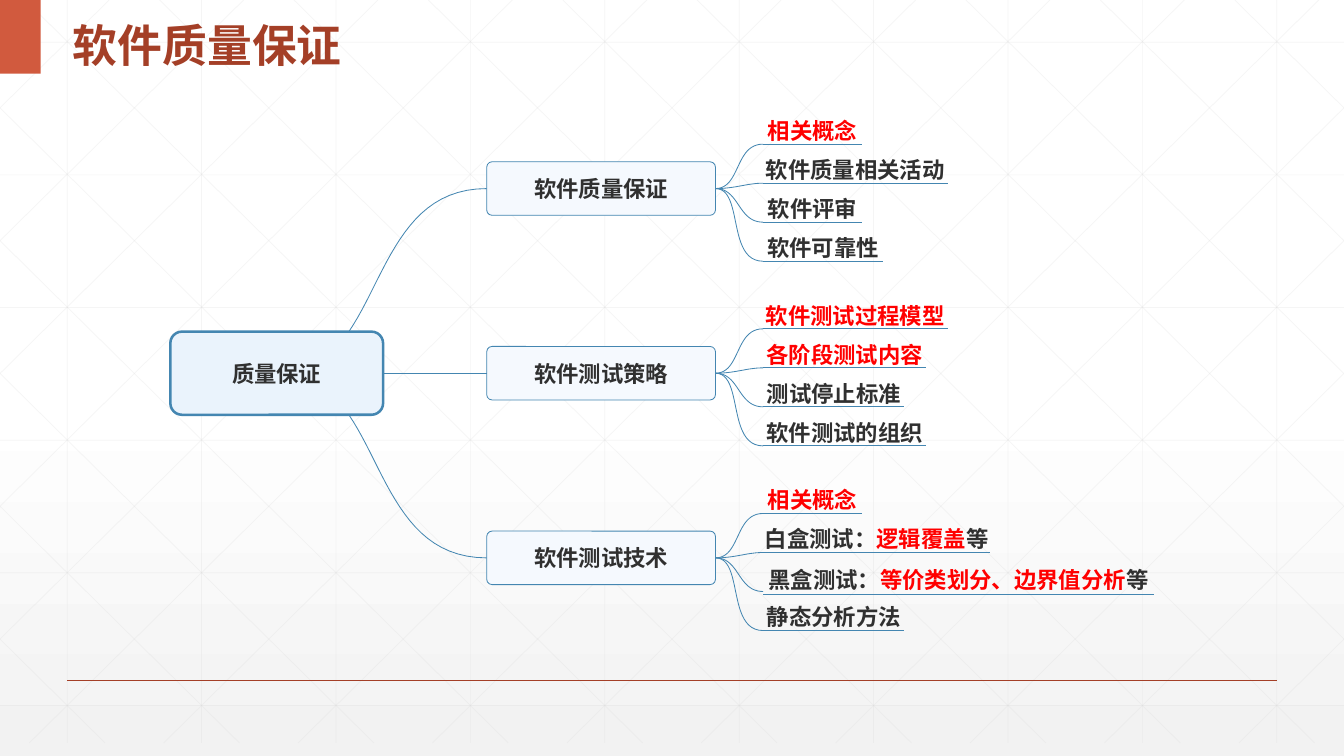
import lxml.etree
import pptx
import pptx.dml.color
import pptx.enum.dml
import pptx.enum.shapes
import pptx.enum.text
import pptx.oxml
import pptx.oxml.ns
import pptx.util

Pt = pptx.util.Pt
RGB = pptx.dml.color.RGBColor
SHAPE = pptx.enum.shapes.MSO_SHAPE
ALIGN = pptx.enum.text.PP_ALIGN
MIDDLE = pptx.enum.text.MSO_ANCHOR.MIDDLE
qn = pptx.oxml.ns.qn

WHITE = RGB(0xFF, 0xFF, 0xFF)
MIST = RGB(0xF2, 0xF2, 0xF2)
GRID = RGB(0xD9, 0xD9, 0xD9)
BRICK = RGB(0xA4, 0x3F, 0x27)
ORANGE = RGB(0xD1, 0x5A, 0x3E)
BLUE = RGB(0x44, 0x86, 0xB1)
ROOT_FILL = RGB(0xEA, 0xF3, 0xFC)
BRANCH_FILL = RGB(0xF5, 0xF9, 0xFE)
DARK = RGB(0x30, 0x30, 0x30)
RED = RGB(0xFF, 0x00, 0x00)
CJK = "Noto Sans CJK SC"

SLIDE_W, SLIDE_H = 960, 540
BRANCH_GAP = 131.9
LEAF_GAP, LEAF_H = 27.87, 19.6
# Horizontal reach of both control points of the curve to each leaf
LEAF_BENDS = [(18, 13.7), (14.4, 22.3), (17.3, 15.8), (20.2, 7.9)]

# Branch title, then its leaves: runs, width, height
BRANCHES = [
    ("软件质量保证", [
        ([("相关概念", RED)], 70.5, LEAF_H),
        ([("软件质量相关活动", DARK)], 131.8, LEAF_H),
        ([("软件评审", DARK)], 70.5, LEAF_H),
        ([("软件可靠性", DARK)], 85.8, LEAF_H)]),
    ("软件测试策略", [
        ([("软件测试过程模型", RED)], 131.8, LEAF_H),
        ([("各阶段测试内容", RED)], 116.5, LEAF_H),
        ([("测试停止标准", DARK)], 101, LEAF_H),
        ([("软件测试的组织", DARK)], 116.5, LEAF_H)]),
    ("软件测试技术", [
        ([("相关概念", RED)], 70.5, LEAF_H),
        ([("白盒测试：", DARK), ("逻辑覆盖", RED), ("等", DARK)], 162.2, LEAF_H),
        ([("黑盒测试：", DARK), ("等价类划分、边界值分析", RED), ("等", DARK)], 279, 21.6),
        ([("静态分析方法", DARK)], 101, LEAF_H)]),
]


def set_alpha(color, percent):
    alpha = lxml.etree.SubElement(color, qn("a:alpha"))
    alpha.set("val", str(percent * 1000))


def add_line(s, x1, y1, x2, y2, color, width):
    line = s.shapes.add_connector(pptx.enum.shapes.MSO_CONNECTOR.STRAIGHT,
                                  Pt(x1), Pt(y1), Pt(x2), Pt(y2))
    line.line.color.rgb = color
    line.line.width = Pt(width)
    lxml.etree.SubElement(line._element.spPr, qn("a:effectLst"))
    return line


def add_curve(s, *points):
    """Open cubic curve through two ends and two control points."""
    steps = 24
    dots = []
    for i in range(steps + 1):
        t = i / steps
        weights = ((1 - t) ** 3, 3 * t * (1 - t) ** 2, 3 * t * t * (1 - t), t ** 3)
        dots.append(tuple(Pt(sum(w * p[axis] for w, p in zip(weights, points)))
                          for axis in (0, 1)))
    builder = s.shapes.build_freeform(*dots[0])
    builder.add_line_segments(dots[1:], close=False)
    curve = builder.convert_to_shape()
    curve.shadow.inherit = False
    curve.fill.background()
    curve.line.color.rgb = BLUE
    curve.line.width = Pt(0.6)


def write(sp, runs, size=16, font=CJK, align=ALIGN.CENTER, inset=0, spacing=None):
    tf = sp.text_frame
    tf.word_wrap = False
    tf.vertical_anchor = MIDDLE
    tf.margin_left = tf.margin_right = Pt(inset)
    tf.margin_top = tf.margin_bottom = Pt(inset / 2)
    p = tf.paragraphs[0]
    p.alignment = align
    p.line_spacing = spacing
    for text, color in runs:
        r = p.add_run()
        r.text = text
        r.font.size = Pt(size)
        r.font.bold = True
        r.font.color.rgb = color
        r.font.name = font
        ea = lxml.etree.SubElement(r._r.get_or_add_rPr(), qn("a:ea"))
        ea.set("typeface", CJK)


def add_node(s, x, y, w, h, text, fill, line_width, rounding):
    sp = s.shapes.add_shape(SHAPE.ROUNDED_RECTANGLE, Pt(x), Pt(y), Pt(w), Pt(h))
    sp.adjustments[0] = rounding
    sp.shadow.inherit = False
    sp.fill.solid()
    sp.fill.fore_color.rgb = fill
    sp.line.color.rgb = BLUE
    sp.line.width = Pt(line_width)
    write(sp, [(text, DARK)])
    return sp


def background(s, x, y, w, h):
    # Vertical gradient with three stops
    fill = s.background.fill
    fill.gradient()
    fill.gradient_angle = 270
    stops = s.background._cSld.find(".//" + qn("a:gsLst"))
    for stop in list(stops):
        stops.remove(stop)
    for position, color in ((0, WHITE), (53, WHITE), (100, MIST)):
        stop = lxml.etree.SubElement(stops, qn("a:gs"), pos=str(position * 1000))
        clr = lxml.etree.SubElement(stop, qn("a:srgbClr"), val=str(color))
    set_alpha(clr, 65)

    # Faint grid, with both families of diagonals clipped at the sides
    step, run = 96, 537
    ends = [(48 + step * i, 0, 48 + step * i, h) for i in range(10)]
    ends += [(0, 30.2 + 94.75 * i, w, 30.2 + 94.75 * i) for i in range(6)]
    for i in range(-5, 10):
        start = 18 + step * i
        left, right = max(start, 0), min(start + run, w)
        top, bottom = ((edge - start) * h / run for edge in (left, right))
        ends += [(left, top, right, bottom), (w - left, top, w - right, bottom)]
    for x1, y1, x2, y2 in ends:
        line = add_line(s, x + x1, y + y1, x + x2, y + y2, GRID, 0.5)
        set_alpha(line._element.spPr.find(".//" + qn("a:srgbClr")), 25)


def header(s, x, y, w, h):
    tab = s.shapes.add_shape(SHAPE.RECTANGLE, Pt(x), Pt(y), Pt(29), Pt(h))
    tab.shadow.inherit = False
    tab.fill.solid()
    tab.fill.fore_color.rgb = ORANGE
    tab.line.fill.background()
    title = s.shapes.add_textbox(Pt(x + 45), Pt(y), Pt(w - 45), Pt(h))
    write(title, [("软件质量保证", BRICK)], 32, "Arial", ALIGN.LEFT, 7.2, 1.3)


def leaf(s, x, y, w, h, runs):
    sp = s.shapes.add_textbox(Pt(x), Pt(y), Pt(w), Pt(h))
    write(sp, runs)
    add_line(s, x, y + h, x + w, y + h, BLUE, 0.6)


def branch(s, x, y, w, h, text, leaves):
    """Branch box with its leaves to the right."""
    mid, right = y + h / 2, x + w
    leaf_x = right + 34
    for i, ((runs, leaf_w, leaf_h), (bend1, bend2)) in enumerate(zip(leaves, LEAF_BENDS)):
        top = mid - 51.3 + LEAF_GAP * i
        end = top + LEAF_H
        add_curve(s, (right, mid), (right + bend1, mid),
                  (right + bend2, end), (leaf_x, end))
        leaf(s, leaf_x, top, leaf_w, leaf_h, runs)
    return add_node(s, x, y, w, h, text, BRANCH_FILL, 0.6, 0.1)


def mind_map(s, x, y, w, h):
    mid = y + h / 2
    root_w, root_h, branch_w, branch_h = 152, 59.4, 163.4, 38.2
    branch_x = x + 226
    # Curved trunks to the upper and lower branches
    for side in (-1, 1):
        edge, end = mid + side * root_h / 2, mid + side * BRANCH_GAP
        add_curve(s, (x + 127.5, edge), (x + 154, edge + side * 39),
                  (x + 165, end), (branch_x, end))
    root = add_node(s, x, mid - root_h / 2, root_w, root_h,
                    "质量保证", ROOT_FILL, 1.8, 0.14)
    nodes = [branch(s, branch_x, mid + (i - 1) * BRANCH_GAP - branch_h / 2,
                    branch_w, branch_h, text, leaves)
             for i, (text, leaves) in enumerate(BRANCHES)]
    # Straight trunk to the middle branch
    trunk = add_line(s, x + root_w, mid, branch_x, mid, BLUE, 0.6)
    trunk.begin_connect(root, 3)
    trunk.end_connect(nodes[1], 1)


def main():
    prs = pptx.Presentation()
    prs.slide_width, prs.slide_height = Pt(SLIDE_W), Pt(SLIDE_H)
    s = prs.slides.add_slide(prs.slide_layouts[6])
    background(s, 0, 0, SLIDE_W, 530.6)
    add_line(s, 48, 486, SLIDE_W - 48, 486, BRICK, 1)  # footer rule
    header(s, 0, 0, 455, 52.6)
    mind_map(s, 121.7, 83.4, 702, 366.4)
    prs.save("out.pptx")


if __name__ == "__main__":
    main()
